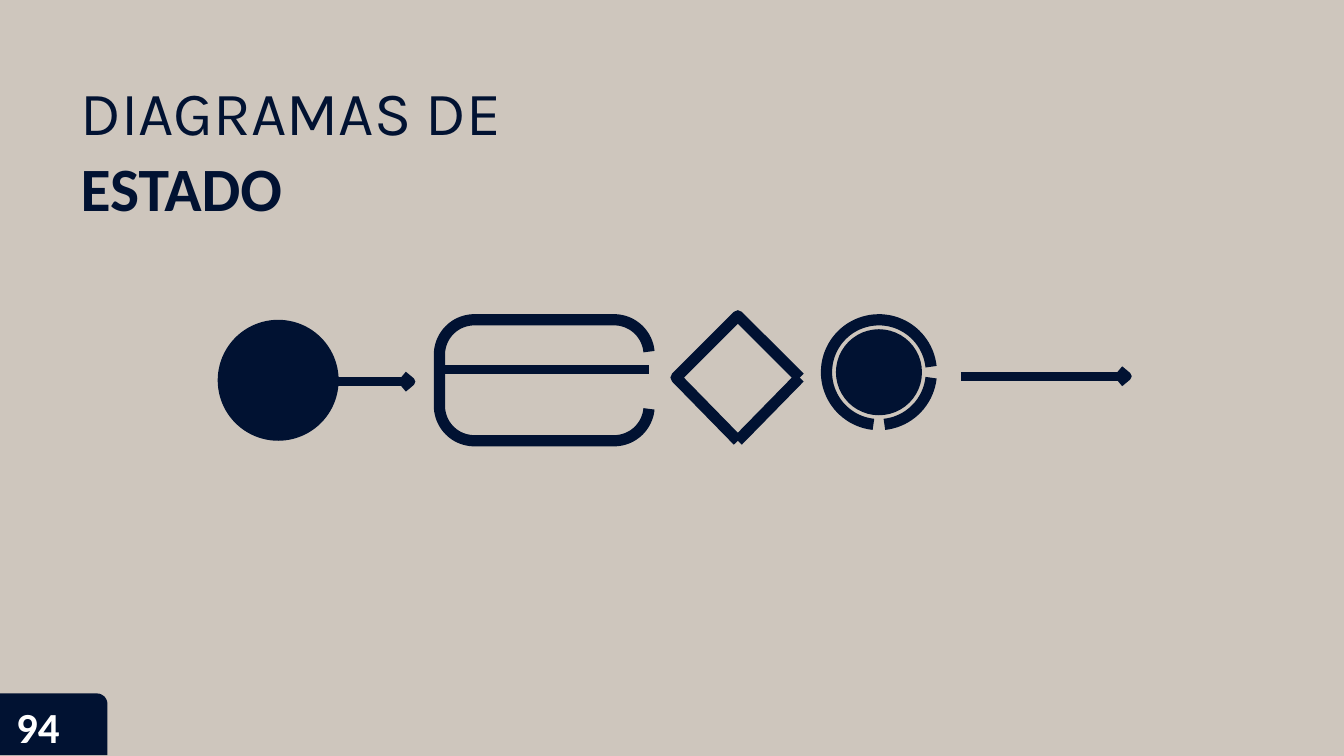
from dataclasses import dataclass
from math import cos, radians, sin

from pptx import Presentation
from pptx.dml.color import RGBColor
from pptx.enum.shapes import MSO_CONNECTOR as Link, MSO_SHAPE as Kind
from pptx.enum.text import MSO_ANCHOR as Anchor, MSO_AUTO_SIZE as Fit, PP_ALIGN as Align
from pptx.oxml.xmlchemy import OxmlElement
from pptx.util import Pt

PX = 9144  # 100 px to the inch
NAVY = RGBColor(0x01, 0x12, 0x32)
SAND = RGBColor(0xCE, 0xC6, 0xBD)
WHITE = RGBColor(0xFF, 0xFF, 0xFF)
THICK, THIN = 6, 4.5

Point = tuple[float, float]


@dataclass(frozen=True)
class Box:
    x: int
    y: int
    w: int
    h: int

    def emu(self) -> list[int]:
        return [n * PX for n in (self.x, self.y, self.w, self.h)]


@dataclass(frozen=True)
class Rule:
    x: int
    y: int
    end: int
    arrow: bool


@dataclass(frozen=True)
class Line:
    text: str
    font: str
    size: int
    color: RGBColor
    bold: bool
    indent: int
    before: int = 0


def arc(x: int, y: int, r: int, start: int, end: int) -> list[Point]:
    """Points on a circle; angles in degrees, clockwise from the right."""
    steps = max(1, abs(end - start) // 4)
    turns = [radians(start + (end - start) * i / steps) for i in range(steps + 1)]
    return [(x + r * cos(t), y + r * sin(t)) for t in turns]


def paint(shape) -> None:
    shape.shadow.inherit = False
    shape.fill.solid()
    shape.fill.fore_color.rgb = NAVY
    shape.line.fill.background()


def stroke(line, width: float) -> None:
    line.color.rgb = NAVY
    line.width = Pt(width)


def add_solid(shapes, kind: Kind, box: Box):
    shape = shapes.add_shape(kind, *box.emu())
    paint(shape)
    return shape


def add_path(shapes, width: float, *paths: list[Point]) -> None:
    """Draw open outlines as one shape."""
    runs = [[(x * PX, y * PX) for x, y in path] for path in paths]
    pen = shapes.build_freeform(*runs[0][0])
    pen.add_line_segments(runs[0][1:], close=False)
    for run in runs[1:]:
        pen.move_to(*run[0])
        pen.add_line_segments(run[1:], close=False)
    shape = pen.convert_to_shape()
    shape.shadow.inherit = False
    shape.fill.background()
    stroke(shape.line, width)


def add_rule(shapes, rule: Rule) -> None:
    x, y, end = rule.x, rule.y, rule.end
    link = shapes.add_connector(Link.STRAIGHT, x * PX, y * PX, end * PX, y * PX)
    stroke(link.line, THIN)
    link._element.spPr.append(OxmlElement("a:effectLst"))
    if rule.arrow:
        add_path(shapes, THIN, [(end - 6, y - 5), (end, y), (end - 6, y + 5)])


def write(shape, box: Box, top: int, lines: list[Line]) -> None:
    shape.left, shape.top, shape.width, shape.height = box.emu()
    frame = shape.text_frame
    frame.word_wrap = True
    frame.auto_size = Fit.SHAPE_TO_FIT_TEXT
    frame.vertical_anchor = Anchor.TOP
    frame.margin_left = frame.margin_right = frame.margin_bottom = 0
    frame.margin_top = top * PX
    for i, line in enumerate(lines):
        para = frame.add_paragraph() if i else frame.paragraphs[0]
        para.alignment = Align.LEFT
        if line.before:
            para.space_before = Pt(line.before)
        props = para._p.get_or_add_pPr()
        props.set("marL", str(line.indent * PX))
        props.set("indent", "0")
        run = para.add_run()
        run.text = line.text
        font = run.font
        font.name, font.size, font.bold = line.font, Pt(line.size), line.bold
        font.color.rgb = line.color


TITLE = [
    Line("DIAGRAMAS DE", "Karla", 33, NAVY, False, 1),
    Line("ESTADO", "Calibri", 33, NAVY, True, 1, 1),
]
PAGE = [Line("94", "Calibri", 23, WHITE, True, 8)]
DOTS = [Box(162, 238, 90, 90), Box(622, 245, 64, 64)]
RULES = [
    Rule(715, 280, 839, True),
    Rule(327, 275, 483, False),
    Rule(229, 284, 306, True),
]
STATE = (
    arc(457, 302, 26, 5, 90)
    + arc(353, 302, 26, 90, 180)
    + arc(353, 264, 26, 180, 270)
    + arc(457, 264, 26, 270, 355)
)
EAST, SOUTH, WEST, NORTH = (595, 281), (549, 328), (503, 281), (549, 235)
RING = [arc(654, 277, 39, 84, 6), arc(654, 277, 39, -6, -264)]


def main() -> None:
    deck = Presentation()
    deck.slide_width = 1000 * PX
    deck.slide_height = deck.slide_width * 9 // 16
    slide = deck.slides.add_slide(deck.slide_layouts[5])
    slide.background.fill.solid()
    slide.background.fill.fore_color.rgb = SAND
    shapes = slide.shapes

    tab = add_solid(shapes, Kind.ROUND_1_RECTANGLE, Box(0, 516, 80, 46))
    tab.adjustments[0] = 0.17
    write(shapes.title, Box(59, 54, 373, 114), 1, TITLE)

    for dot in DOTS:
        add_solid(shapes, Kind.OVAL, dot)
    add_path(shapes, THICK, STATE)
    add_path(shapes, THICK, [EAST, SOUTH], [SOUTH, WEST, NORTH, EAST])
    add_path(shapes, THICK, *RING)
    for rule in RULES:
        add_rule(shapes, rule)

    box = Box(4, 518, 61, 41)
    write(shapes.add_textbox(*box.emu()), box, 3, PAGE)
    deck.save("out.pptx")


if __name__ == "__main__":
    main()
